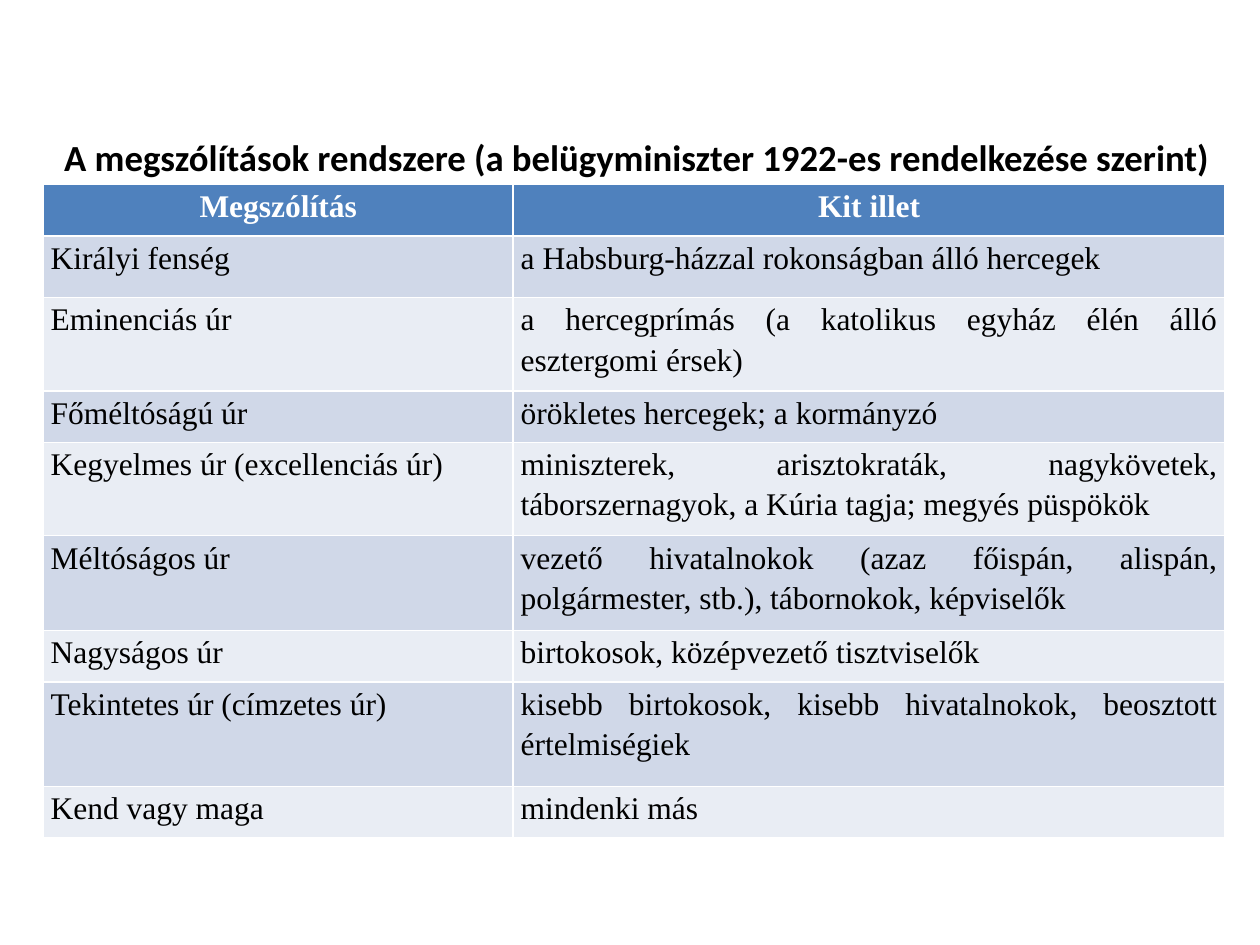
from typing import NamedTuple

from pptx import Presentation
from pptx.dml.color import RGBColor
from pptx.enum.text import MSO_ANCHOR, PP_ALIGN
from pptx.util import Pt

LEFT, CENTER, JUSTIFY = PP_ALIGN.LEFT, PP_ALIGN.CENTER, PP_ALIGN.JUSTIFY
MIDDLE = MSO_ANCHOR.MIDDLE

BLACK = RGBColor(0x00, 0x00, 0x00)
WHITE = RGBColor(0xFF, 0xFF, 0xFF)
HEADER_BLUE = RGBColor(0x4F, 0x81, 0xBD)
BAND_DARK = RGBColor(0xD0, 0xD8, 0xE8)
BAND_LIGHT = RGBColor(0xE9, 0xED, 0xF4)

TITLE = "A megszólítások rendszere (a belügyminiszter 1922-es rendelkezése szerint)"
COLUMN_WIDTHS = (268.6, 406.8)


class Rank(NamedTuple):
    address: str
    holders: str
    height: float


HEADER = Rank("Megszólítás", "Kit illet", 29.5)
RANKS = [
    Rank("Királyi fenség", "a Habsburg-házzal rokonságban álló hercegek", 35.3),
    Rank("Eminenciás úr",
         "a hercegprímás (a katolikus egyház élén álló esztergomi érsek)", 53.3),
    Rank("Főméltóságú úr", "örökletes hercegek; a kormányzó", 29.5),
    Rank("Kegyelmes úr (excellenciás úr)",
         "miniszterek, arisztokraták, nagykövetek, táborszernagyok, "
         "a Kúria tagja; megyés püspökök", 53.3),
    Rank("Méltóságos úr",
         "vezető hivatalnokok (azaz főispán, alispán, polgármester, stb.), "
         "tábornokok, képviselők", 54),
    Rank("Nagyságos úr", "birtokosok, középvezető tisztviselők", 29.5),
    Rank("Tekintetes úr (címzetes úr)",
         "kisebb birtokosok, kisebb hivatalnokok, beosztott értelmiségiek", 59.8),
    Rank("Kend vagy maga", "mindenki más", 29.5),
]


def format_font(font, name: str, size: float, color: RGBColor, bold: bool) -> None:
    font.name, font.size, font.bold = name, Pt(size), bold
    font.color.rgb = color


def add_title(page) -> None:
    title = page.shapes.title
    title.left, title.top = Pt(13.7), Pt(67.7)
    title.width, title.height = Pt(706.3), Pt(69.8)
    frame = title.text_frame
    frame.text = TITLE
    frame.word_wrap = True
    frame.vertical_anchor = MIDDLE
    # The deeper bottom inset lifts the line above the table
    frame.margin_right, frame.margin_bottom = Pt(13), Pt(29)
    para = frame.paragraphs[0]
    para.alignment = CENTER
    format_font(para.runs[0].font, "Calibri", 21, BLACK, True)


def fill_cell(cell, text: str, fill: RGBColor, color: RGBColor,
              alignment: PP_ALIGN, bold: bool) -> None:
    cell.fill.solid()
    cell.fill.fore_color.rgb = fill
    cell.margin_left = cell.margin_right = Pt(4.3)
    cell.margin_top = cell.margin_bottom = Pt(0)
    cell.text_frame.text = text
    para = cell.text_frame.paragraphs[0]
    para.alignment = alignment
    para.line_spacing = 1.15
    format_font(para.runs[0].font, "Times New Roman", 18, color, bold)


def add_rank_table(page) -> None:
    rows = [HEADER, *RANKS]
    table = page.shapes.add_table(
        len(rows), len(COLUMN_WIDTHS), Pt(24.7), Pt(105.3),
        Pt(sum(COLUMN_WIDTHS)), Pt(sum(rank.height for rank in rows))).table
    for column, width in zip(table.columns, COLUMN_WIDTHS):
        column.width = Pt(width)
    for index, rank in enumerate(rows):
        table.rows[index].height = Pt(rank.height)
        is_header = index == 0
        if is_header:
            fill, color, alignments = HEADER_BLUE, WHITE, (CENTER, CENTER)
        else:
            fill = BAND_DARK if index % 2 else BAND_LIGHT
            color, alignments = BLACK, (LEFT, JUSTIFY)
        texts = (rank.address, rank.holders)
        for column, (text, alignment) in enumerate(zip(texts, alignments)):
            fill_cell(table.cell(index, column), text, fill, color,
                      alignment, is_header)


def main() -> None:
    deck = Presentation()
    deck.slide_width, deck.slide_height = Pt(720), Pt(540)
    page = deck.slides.add_slide(deck.slide_layouts[5])
    add_title(page)
    add_rank_table(page)
    deck.save("out.pptx")


if __name__ == "__main__":
    main()
